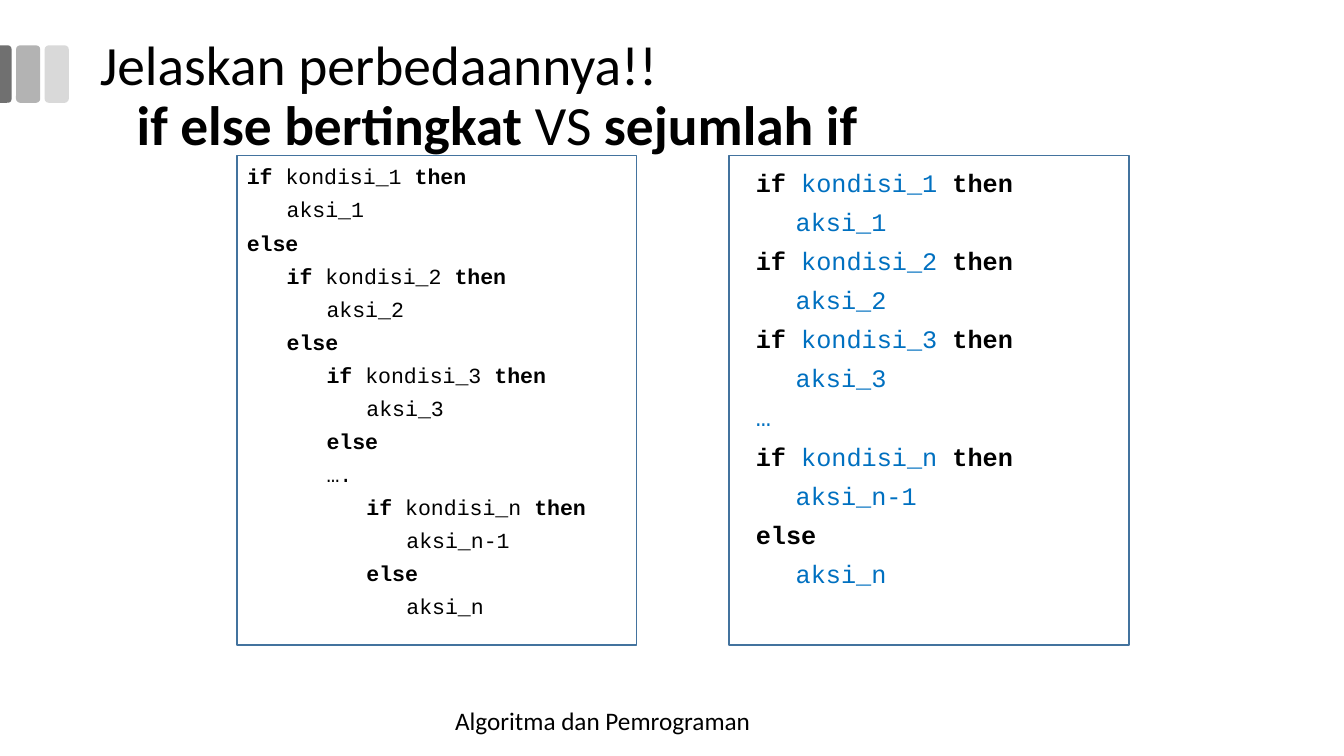
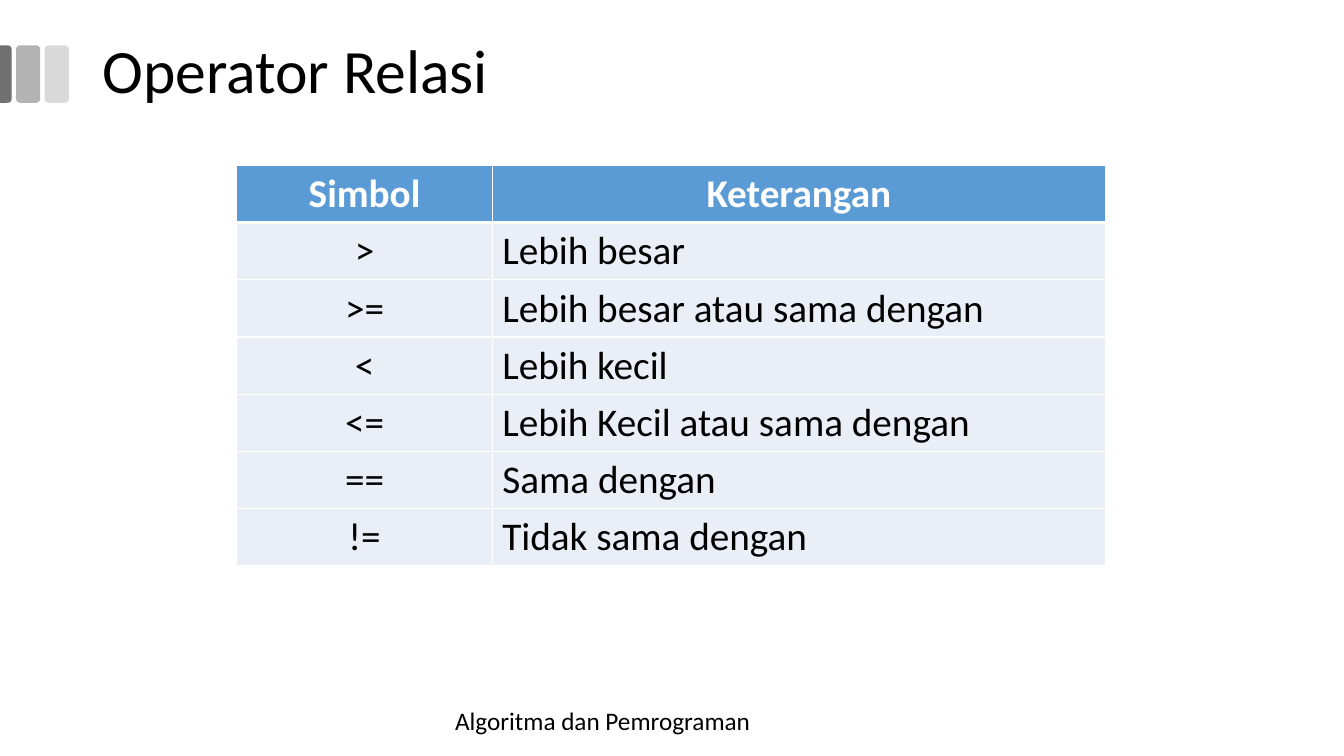
from dataclasses import dataclass

from lxml.etree import SubElement
from pptx import Presentation
from pptx.dml.color import RGBColor
from pptx.enum.shapes import MSO_SHAPE
from pptx.enum.text import MSO_ANCHOR, PP_ALIGN
from pptx.oxml.ns import qn
from pptx.util import Inches, Pt

COLUMNS = 160
UNIT = Inches(13.33) / COLUMNS


@dataclass(frozen=True)
class Theme:
    """Colours, fonts and type sizes shared by the slides."""
    ink: str = "000000"
    paper: str = "FFFFFF"
    accent: str = "0070C0"
    frame: str = "43739E"
    header: str = "5B9BD5"
    row: str = "EAEFF7"
    marks: tuple = ("707070", "B3B3B3", "D9D9D9")
    font: str = "Calibri"
    code_font: str = "Courier New"
    title: float = 44
    long_title: float = 39.6
    table: float = 28
    footer: float = 18
    code: float = 18
    small_code: float = 15.4


@dataclass(frozen=True)
class Box:
    """A region measured in grid columns and rows."""
    left: float
    top: float
    width: float
    height: float

    def lengths(self):
        """Return the region in drawing units."""
        return [round(value * UNIT) for value in (self.left, self.top, self.width, self.height)]


@dataclass(frozen=True)
class Line:
    """One paragraph: (text, bold, colour) runs, first-line indent and tab stop."""
    runs: tuple
    indent: float = 0
    tab: float = 0


THEME = Theme()
KEYWORDS = {"if", "then", "else"}
CODE_STEP = 4.75
FOOTER = Box(53, 83.4, 54, 4.8)
MARKS = Box(-0.07, 5.4, 1.44, 6.84)
TITLE = Box(11, 0.1, 138, 17.4)
LONG_TITLE = Box(10.7, 4.8, 107.6, 13.7)
NESTED_FRAME = Box(28.2, 18.5, 47.6, 58.3)
SEQUENCE_FRAME = Box(86.8, 18.5, 47.6, 58.3)
TABLE = Box(28.2, 19.7, 103.4, 47.6)

NESTED_CODE = (
    (0, "if kondisi_1 then"), (1, "aksi_1"), (0, "else"),
    (1, "if kondisi_2 then"), (2, "aksi_2"), (1, "else"),
    (2, "if kondisi_3 then"), (3, "aksi_3"), (2, "else"), (2, "…."),
    (3, "if kondisi_n then"), (4, "aksi_n-1"), (3, "else"), (4, "aksi_n"),
)
SEQUENCE_CODE = (
    (0, "if kondisi_1 then"), (1, "aksi_1"),
    (0, "if kondisi_2 then"), (1, "aksi_2"),
    (0, "if kondisi_3 then"), (1, "aksi_3"), (0, "…"),
    (0, "if kondisi_n then"), (1, "aksi_n-1"), (0, "else"), (1, "aksi_n"),
)
OPERATORS = (
    ("Simbol", "Keterangan"),
    (">", "Lebih besar"),
    (">=", "Lebih besar atau sama dengan"),
    ("<", "Lebih kecil"),
    ("<=", "Lebih Kecil atau sama dengan"),
    ("==", "Sama dengan"),
    ("!=", "Tidak sama dengan"),
)


def plain(text, bold=False, color=THEME.ink):
    """Return a line with a single run."""
    return Line(((text, bold, color),))


def write_text(frame, lines, size, font=THEME.font, align=PP_ALIGN.LEFT,
               spacing=1.0, before=0, anchor=MSO_ANCHOR.TOP):
    """Fill a text frame with formatted lines."""
    frame.word_wrap = True
    frame.vertical_anchor = anchor
    for index, line in enumerate(lines):
        paragraph = frame.add_paragraph() if index else frame.paragraphs[0]
        paragraph.alignment = align
        paragraph.line_spacing = spacing
        paragraph.space_before = Pt(before)
        properties = paragraph._p.get_or_add_pPr()
        properties.set("marL", "0")
        properties.set("indent", str(round(line.indent * UNIT)))
        if line.tab:
            stops = SubElement(properties, qn("a:tabLst"))
            SubElement(stops, qn("a:tab"), pos=str(round(line.tab * UNIT)), algn="l")
        for text, bold, color in line.runs:
            run = paragraph.add_run()
            run.text = text
            run.font.size = Pt(size)
            run.font.name = font
            run.font.bold = bold
            run.font.color.rgb = RGBColor.from_string(color)


def add_text(slide, box, lines, size, **style):
    """Add a text box holding the lines."""
    write_text(slide.shapes.add_textbox(*box.lengths()).text_frame, lines, size, **style)


def add_outline(slide, kind, box, fill=None, line=None):
    """Add a preset shape with an optional fill and line."""
    shape = slide.shapes.add_shape(kind, *box.lengths())
    shape.shadow.inherit = False
    if fill:
        shape.fill.solid()
        shape.fill.fore_color.rgb = RGBColor.from_string(fill)
    else:
        shape.fill.background()
    if line:
        shape.line.color.rgb = RGBColor.from_string(line)
        shape.line.width = Pt(1)
    else:
        shape.line.fill.background()
    return shape


def add_marks(slide, box):
    """Draw the three grey tabs at the slide's left edge."""
    edge, *tabs = THEME.marks
    turned = Box(box.left + (box.width - box.height) / 2,
                 box.top + (box.height - box.width) / 2, box.height, box.width)
    shape = add_outline(slide, MSO_SHAPE.ROUND_2_SAME_RECTANGLE, turned, fill=edge)
    shape.rotation = 90
    shape.adjustments[0] = 0.29
    for index, color in enumerate(tabs):
        tab = Box(box.left + 2 * box.width - 0.9 + 3.4 * index, box.top, 2 * box.width, box.height)
        add_outline(slide, MSO_SHAPE.ROUNDED_RECTANGLE, tab, fill=color)


def add_base(presentation, title_box, title_lines, title_size):
    """Add a slide with the shared marks, title and footer."""
    slide = presentation.slides.add_slide(presentation.slide_layouts[6])
    add_marks(slide, MARKS)
    add_text(slide, title_box, title_lines, title_size, spacing=0.9, anchor=MSO_ANCHOR.MIDDLE)
    add_text(slide, FOOTER, [plain("Algoritma dan Pemrograman")], THEME.footer)
    return slide


def code_line(level, text, color):
    """Turn a line of code into runs with bold keywords."""
    words = text.split(" ")
    runs = []
    for index, word in enumerate(words):
        keyword = word in KEYWORDS
        gap = " " if index < len(words) - 1 else ""
        runs.append((word + gap, keyword, THEME.ink if keyword else color))
    return Line(tuple(runs), level * CODE_STEP)


def add_code(slide, box, code, size, inset=0, color=THEME.ink, **style):
    """Add framed code, moved in from the frame's left edge."""
    text_box = Box(box.left + inset, box.top + 1.2, box.width - 0.2, box.height - 1.2)
    lines = [code_line(level, text, color) for level, text in code]
    add_text(slide, text_box, lines, size, font=THEME.code_font, **style)
    add_outline(slide, MSO_SHAPE.RECTANGLE, box, line=THEME.frame)


def set_borders(cell, bottom):
    """Draw the cell's borders with the given bottom width."""
    properties = cell._tc.get_or_add_tcPr()
    for index, (side, width) in enumerate((("L", 1), ("R", 1), ("T", 1), ("B", bottom))):
        border = properties.makeelement(qn(f"a:ln{side}"), w=str(Pt(width)))
        fill = SubElement(border, qn("a:solidFill"))
        SubElement(fill, qn("a:srgbClr"), val=THEME.paper)
        properties.insert(index, border)


def add_operator_table(slide, box, rows):
    """Add the table of operators, with a header row."""
    table = slide.shapes.add_table(len(rows), 2, *box.lengths()).table
    symbol_width = 30.4
    for column, width in zip(table.columns, (symbol_width, box.width - symbol_width)):
        column.width = round(width * UNIT)
    for row, values in enumerate(rows):
        header = row == 0
        for column, text in enumerate(values):
            cell = table.cell(row, column)
            cell.fill.solid()
            cell.fill.fore_color.rgb = RGBColor.from_string(THEME.header if header else THEME.row)
            set_borders(cell, 3 if header else 1)
            line = plain(text, header, THEME.paper if header else THEME.ink)
            centred = header or column == 0
            write_text(cell.text_frame, [line], THEME.table,
                       align=PP_ALIGN.CENTER if centred else PP_ALIGN.LEFT)


def build_comparison(presentation):
    """Build the slide comparing nested and sequential conditions."""
    comparison = Line((("if else bertingkat ", True, THEME.ink), ("VS\t", False, THEME.ink),
                       ("sejumlah if", True, THEME.ink)), indent=4.4, tab=66)
    slide = add_base(presentation, LONG_TITLE,
                     [plain("Jelaskan perbedaannya!!"), comparison], THEME.long_title)
    add_code(slide, NESTED_FRAME, NESTED_CODE, THEME.small_code, spacing=0.7, before=10.7)
    add_code(slide, SEQUENCE_FRAME, SEQUENCE_CODE, THEME.code, inset=2,
             color=THEME.accent, spacing=0.9, before=8.5)


def build_operators(presentation):
    """Build the slide listing the relational operators."""
    slide = add_base(presentation, TITLE, [plain("Operator Relasi")], THEME.title)
    add_operator_table(slide, TABLE, OPERATORS)


def main():
    """Build and save the presentation."""
    presentation = Presentation()
    presentation.slide_width = Inches(13.33)
    presentation.slide_height = Inches(7.5)
    build_comparison(presentation)
    build_operators(presentation)
    presentation.save("out.pptx")


main()
